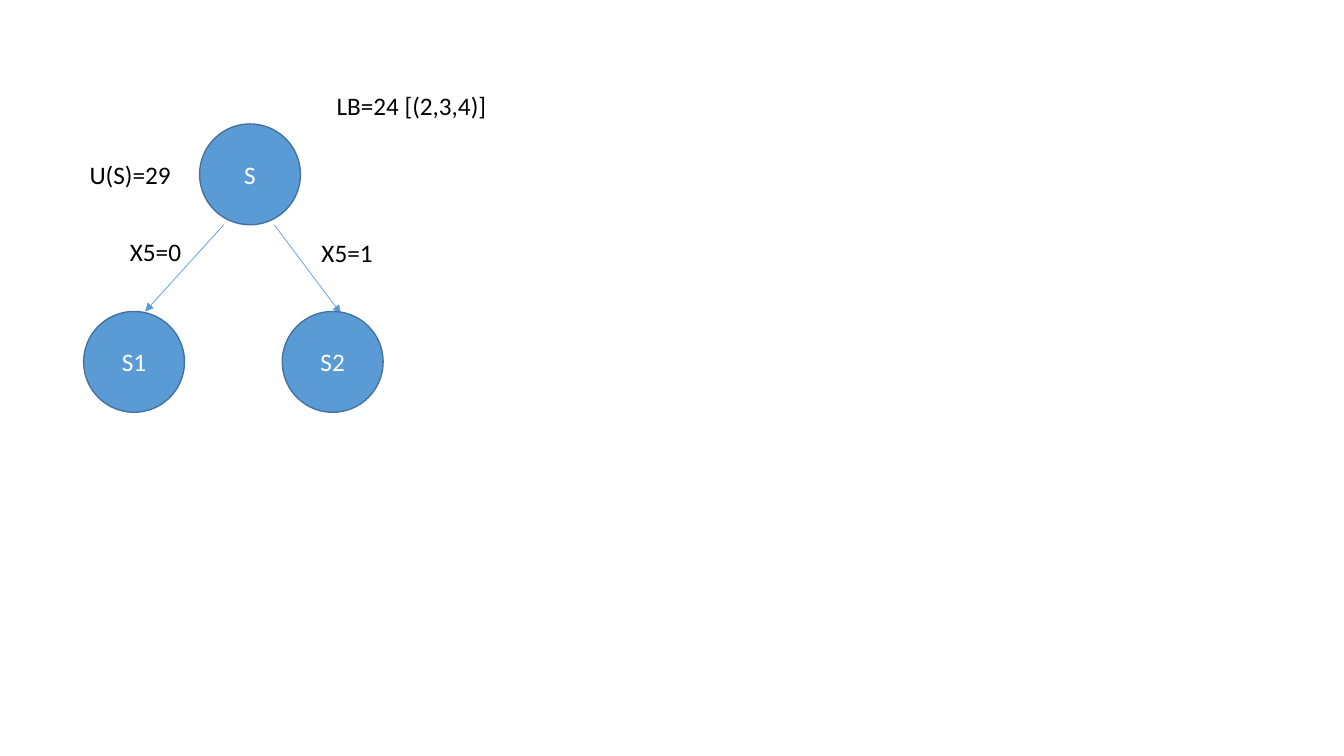
import pptx
import pptx.util
import pptx.dml.color
import pptx.enum.shapes
import pptx.enum.text
import lxml.etree
from pptx.oxml.ns import qn

NODE_SIZE = 1
NODES = [("S", 1.98, 1.23), ("S1", 0.83, 3.09), ("S2", 2.8, 3.09)]
BRANCHES = [((2.22, 2.23), (1.44, 3.09)), ((2.72, 2.23), (3.38, 3.11))]
LABELS = [
    ("U(S)=29", 0.79, 1.53, 1.02),
    ("LB=24 [(2,3,4)]", 3.24, 0.85, 1.7),
    ("X5=0", 1.19, 2.3, 0.72),
    ("X5=1", 3.09, 2.31, 0.72),
]
Inches = pptx.util.Inches
Pt = pptx.util.Pt


def color(value):
    return pptx.dml.color.RGBColor.from_string(value)


def write(tf, text, text_color):
    tf.word_wrap = False
    p = tf.paragraphs[0]
    p.text = text
    p.font.size = Pt(18)
    p.font.name = "Calibri"
    p.font.color.rgb = color(text_color)
    return p


def add_branch(s, start, end):
    line = s.shapes.add_connector(
        pptx.enum.shapes.MSO_CONNECTOR.STRAIGHT, *map(Inches, start + end))
    line.line.color.rgb = color("5B9BD5")
    line.line.width = Pt(0.5)
    ln = line.line._get_or_add_ln()
    lxml.etree.SubElement(ln, qn("a:tailEnd"), type="triangle")
    lxml.etree.SubElement(line._element.spPr, qn("a:effectLst"))


def add_node(s, name, left, top):
    sp = s.shapes.add_shape(
        pptx.enum.shapes.MSO_SHAPE.OVAL,
        *map(Inches, (left, top, NODE_SIZE, NODE_SIZE)))
    sp.shadow.inherit = False
    sp.fill.solid()
    sp.fill.fore_color.rgb = color("5B9BD5")
    sp.line.color.rgb = color("43739E")
    sp.line.width = Pt(1)
    sp.text_frame.vertical_anchor = pptx.enum.text.MSO_ANCHOR.MIDDLE
    p = write(sp.text_frame, name, "FFFFFF")
    p.alignment = pptx.enum.text.PP_ALIGN.CENTER


def add_label(s, text, left, top, width):
    tb = s.shapes.add_textbox(*map(Inches, (left, top, width, 0.4)))
    write(tb.text_frame, text, "000000")
    tb.text_frame.auto_size = pptx.enum.text.MSO_AUTO_SIZE.SHAPE_TO_FIT_TEXT


def main():
    prs = pptx.Presentation()
    prs.slide_width, prs.slide_height = Inches(13.33), Inches(7.5)
    s = prs.slides.add_slide(prs.slide_layouts[6])
    for branch in BRANCHES:
        add_branch(s, *branch)
    for node in NODES:
        add_node(s, *node)
    for label in LABELS:
        add_label(s, *label)
    prs.save("out.pptx")


if __name__ == "__main__":
    main()
